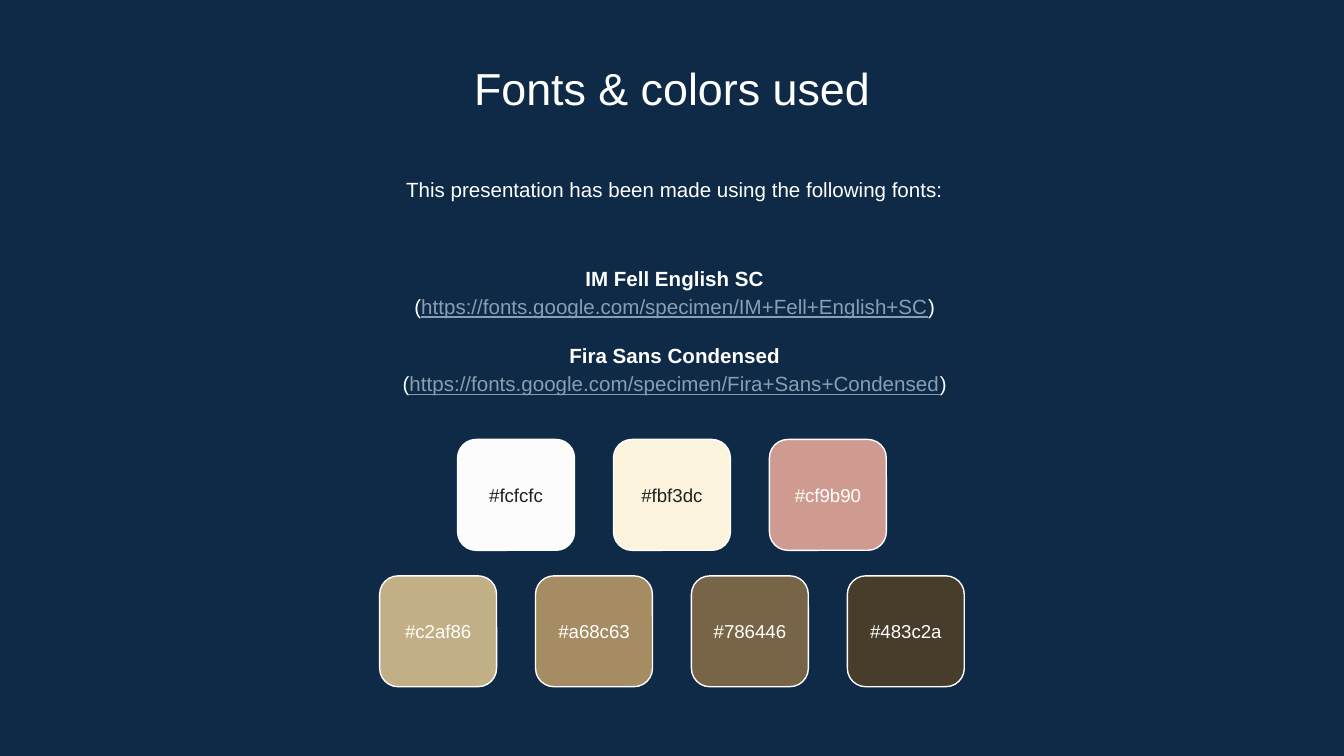
from dataclasses import dataclass

from pptx import Presentation
from pptx.dml.color import RGBColor
from pptx.enum.shapes import MSO_SHAPE
from pptx.enum.text import MSO_ANCHOR, PP_ALIGN
from pptx.slide import Slide
from pptx.text.text import TextFrame, _Paragraph, _Run
from pptx.util import Emu, Pt

EMU_PER_PX = 4572  # 200 px to the inch
SLIDE_WIDTH, SLIDE_HEIGHT = 2000, 1125

FONT = "Arial"
NAVY, WHITE, INK, LINK = "0E2A47", "FFFFFF", "212121", "869FB2"

SWATCH_WIDTH, SWATCH_HEIGHT = 174, 165
SWATCH_PITCH = 232
TEXT_WIDTH, TEXT_INSET = 1542, 20
BODY_LEFT, BODY_SIZE, BODY_SPACING = 233, 11, 1.15


@dataclass(frozen=True)
class FontCredit:
    name: str
    address: str
    space_before: int = 0


@dataclass(frozen=True)
class Swatch:
    code: str
    text_color: str = WHITE


@dataclass(frozen=True)
class SwatchRow:
    top: int
    swatches: tuple[Swatch, ...]


FONT_CREDITS = (
    FontCredit("IM Fell English SC", "https://fonts.google.com/specimen/IM+Fell+English+SC"),
    FontCredit("Fira Sans Condensed", "https://fonts.google.com/specimen/Fira+Sans+Condensed", 11),
)
SWATCH_ROWS = (
    SwatchRow(654, (Swatch("#fcfcfc", INK), Swatch("#fbf3dc", INK), Swatch("#cf9b90"))),
    SwatchRow(857, (Swatch("#c2af86"), Swatch("#a68c63"), Swatch("#786446"), Swatch("#483c2a"))),
)


def px(length: int) -> Emu:
    return Emu(length * EMU_PER_PX)


def rgb(color: str) -> RGBColor:
    return RGBColor.from_string(color)


def style_run(span: _Run, size: int, color: str = WHITE, bold: bool = False) -> None:
    span.font.name = FONT
    span.font.size = Pt(size)
    span.font.bold = bold
    span.font.color.rgb = rgb(color)


def set_line(para: _Paragraph, text: str, size: int, color: str = WHITE, bold: bool = False) -> None:
    para.text = text
    para.alignment = PP_ALIGN.CENTER
    style_run(para.runs[0], size, color, bold)


def add_text_box(slide: Slide, left: int, top: int, height: int,
                 anchor: MSO_ANCHOR = MSO_ANCHOR.TOP) -> TextFrame:
    box = slide.shapes.add_textbox(px(left), px(top), px(TEXT_WIDTH), px(height))
    frame = box.text_frame
    frame.word_wrap = True
    frame.vertical_anchor = anchor
    frame.margin_left = frame.margin_right = px(TEXT_INSET)
    frame.margin_top = frame.margin_bottom = px(TEXT_INSET)
    return frame


def add_credits(frame: TextFrame) -> None:
    """Write each font's name in bold with its address in brackets below."""
    for index, credit in enumerate(FONT_CREDITS):
        heading = frame.add_paragraph() if index else frame.paragraphs[0]
        set_line(heading, credit.name, BODY_SIZE, bold=True)
        heading.line_spacing = BODY_SPACING
        if credit.space_before:
            heading.space_before = Pt(credit.space_before)

        source = frame.add_paragraph()
        source.alignment = PP_ALIGN.CENTER
        source.line_spacing = BODY_SPACING
        for text, color in (("(", WHITE), (credit.address, LINK), (")", WHITE)):
            span = source.add_run()
            span.text = text
            style_run(span, BODY_SIZE, color)
            span.font.underline = color == LINK


def add_swatch(slide: Slide, left: int, top: int, swatch: Swatch) -> None:
    shape = slide.shapes.add_shape(MSO_SHAPE.ROUNDED_RECTANGLE, px(left), px(top),
                                   px(SWATCH_WIDTH), px(SWATCH_HEIGHT))
    shape.shadow.inherit = False
    shape.fill.solid()
    shape.fill.fore_color.rgb = rgb(swatch.code[1:].upper())
    shape.line.color.rgb = rgb(WHITE)
    shape.line.width = Pt(0.75)
    frame = shape.text_frame
    frame.margin_left = frame.margin_right = 0
    frame.vertical_anchor = MSO_ANCHOR.MIDDLE
    set_line(frame.paragraphs[0], swatch.code, 10, swatch.text_color)


def add_swatch_row(slide: Slide, row: SwatchRow) -> None:
    """Draw the swatches at equal steps, centred on the slide."""
    row_width = SWATCH_PITCH * (len(row.swatches) - 1) + SWATCH_WIDTH
    first_left = (SLIDE_WIDTH - row_width) // 2
    for index, swatch in enumerate(row.swatches):
        add_swatch(slide, first_left + index * SWATCH_PITCH, row.top, swatch)


def main() -> None:
    deck = Presentation()
    deck.slide_width, deck.slide_height = px(SLIDE_WIDTH), px(SLIDE_HEIGHT)
    page = deck.slides.add_slide(deck.slide_layouts[6])
    page.background.fill.solid()
    page.background.fill.fore_color.rgb = rgb(NAVY)

    title = add_text_box(page, 229, 70, 106)
    set_line(title.paragraphs[0], "Fonts & colors used", 24)

    intro = add_text_box(page, BODY_LEFT, 238, 96)
    set_line(intro.paragraphs[0], "This presentation has been made using the following fonts:", BODY_SIZE)
    intro.paragraphs[0].line_spacing = BODY_SPACING

    add_credits(add_text_box(page, BODY_LEFT, 353, 274, MSO_ANCHOR.MIDDLE))
    for row in SWATCH_ROWS:
        add_swatch_row(page, row)

    deck.save("out.pptx")


if __name__ == "__main__":
    main()
